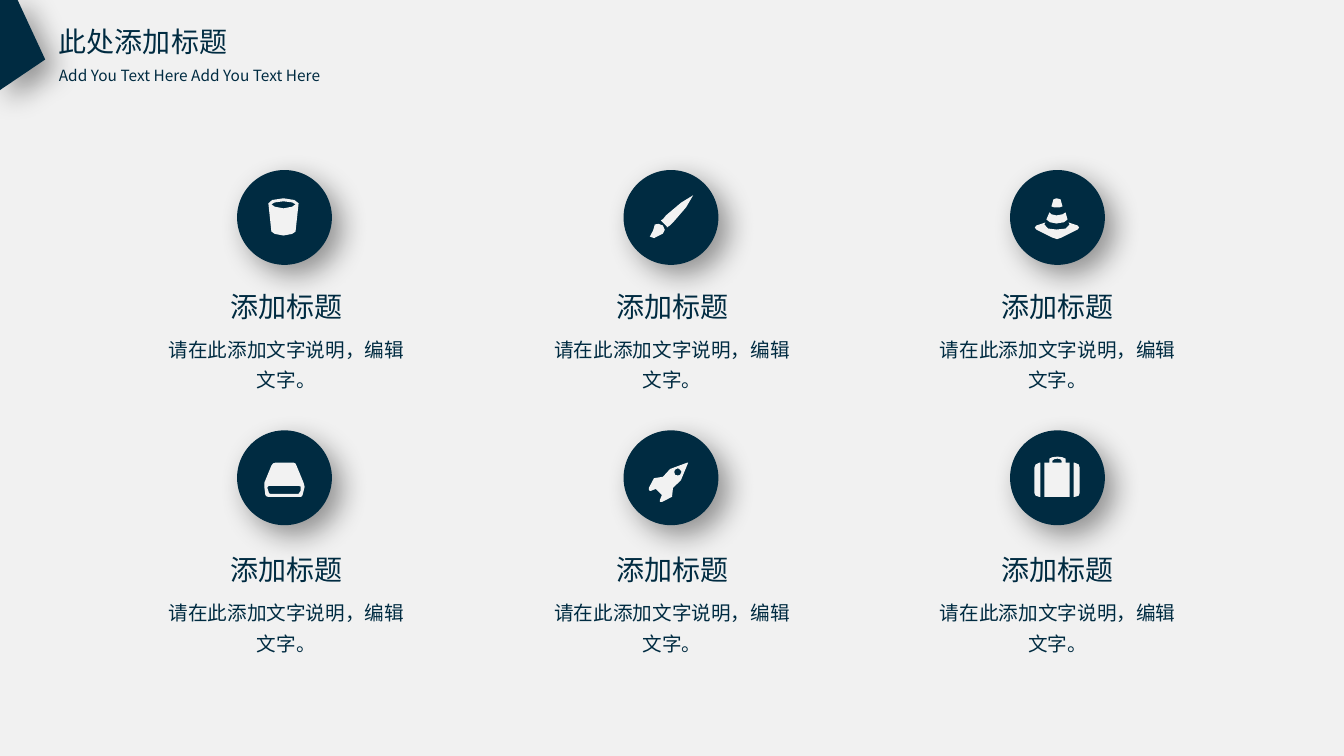
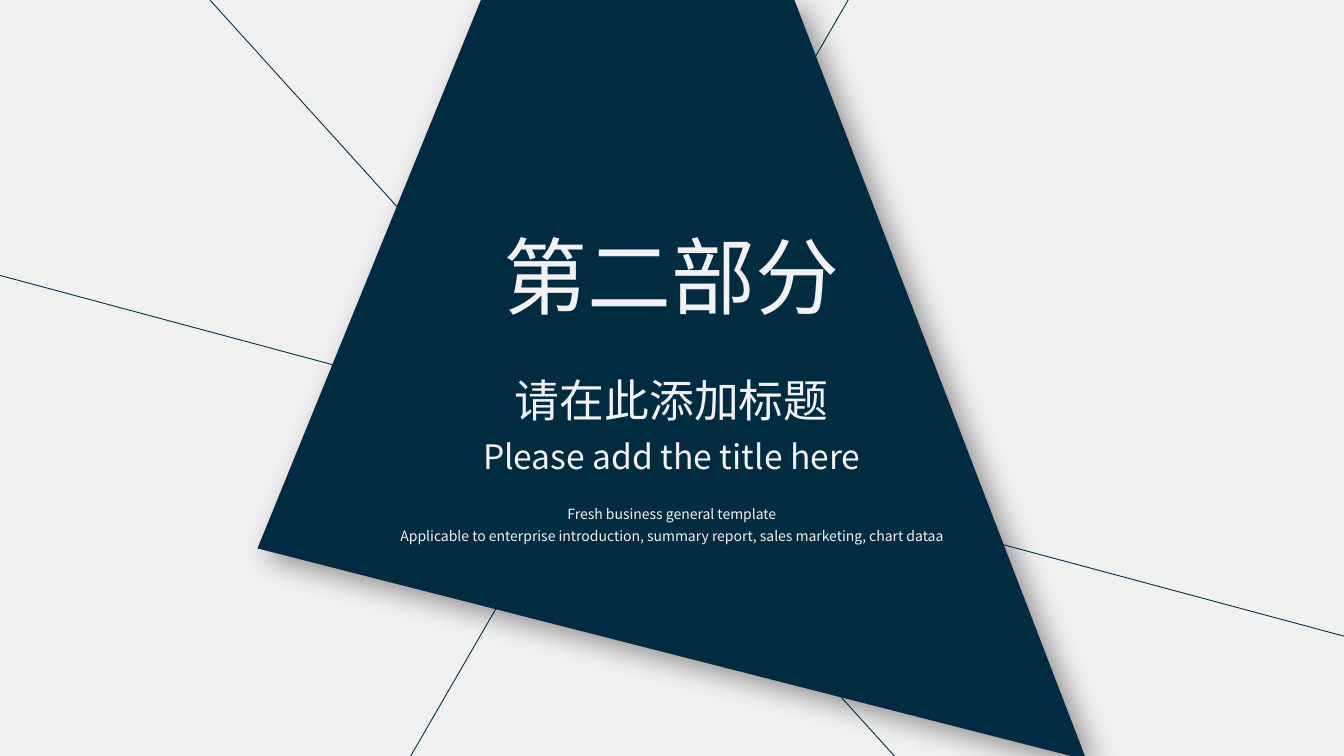
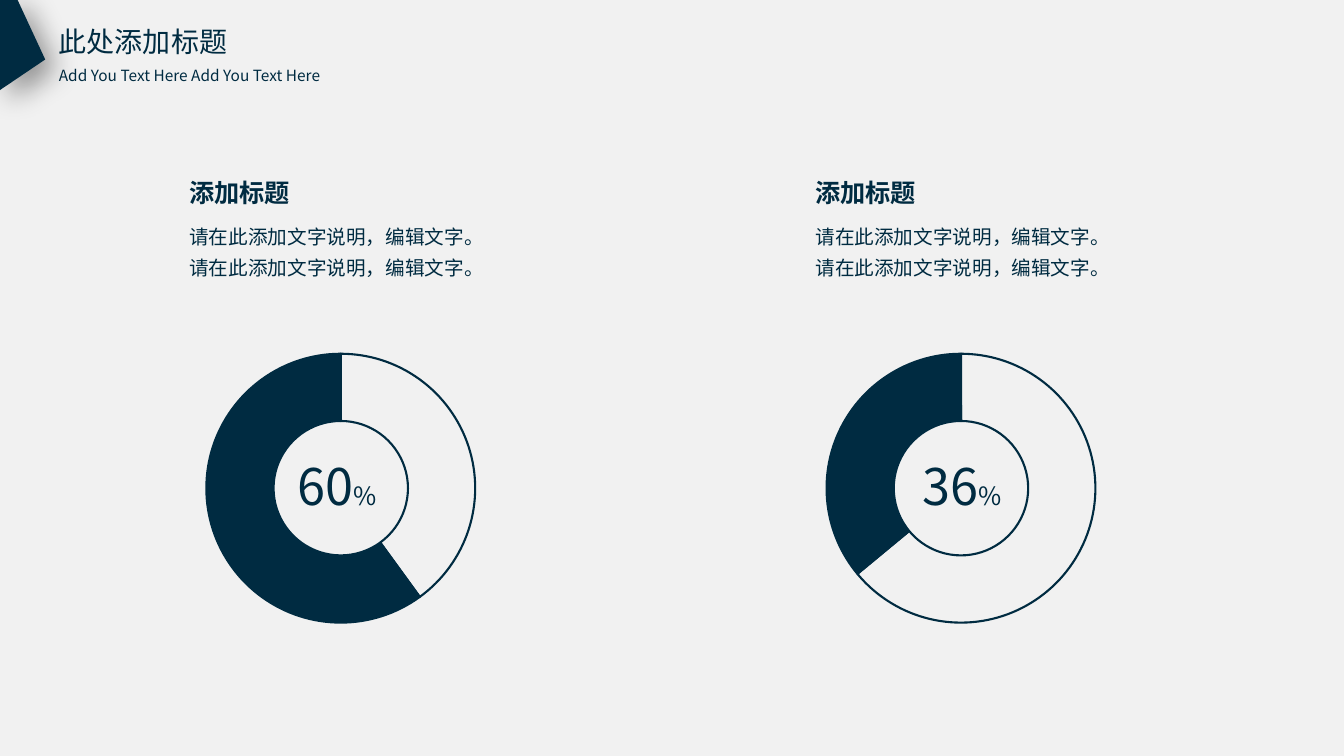
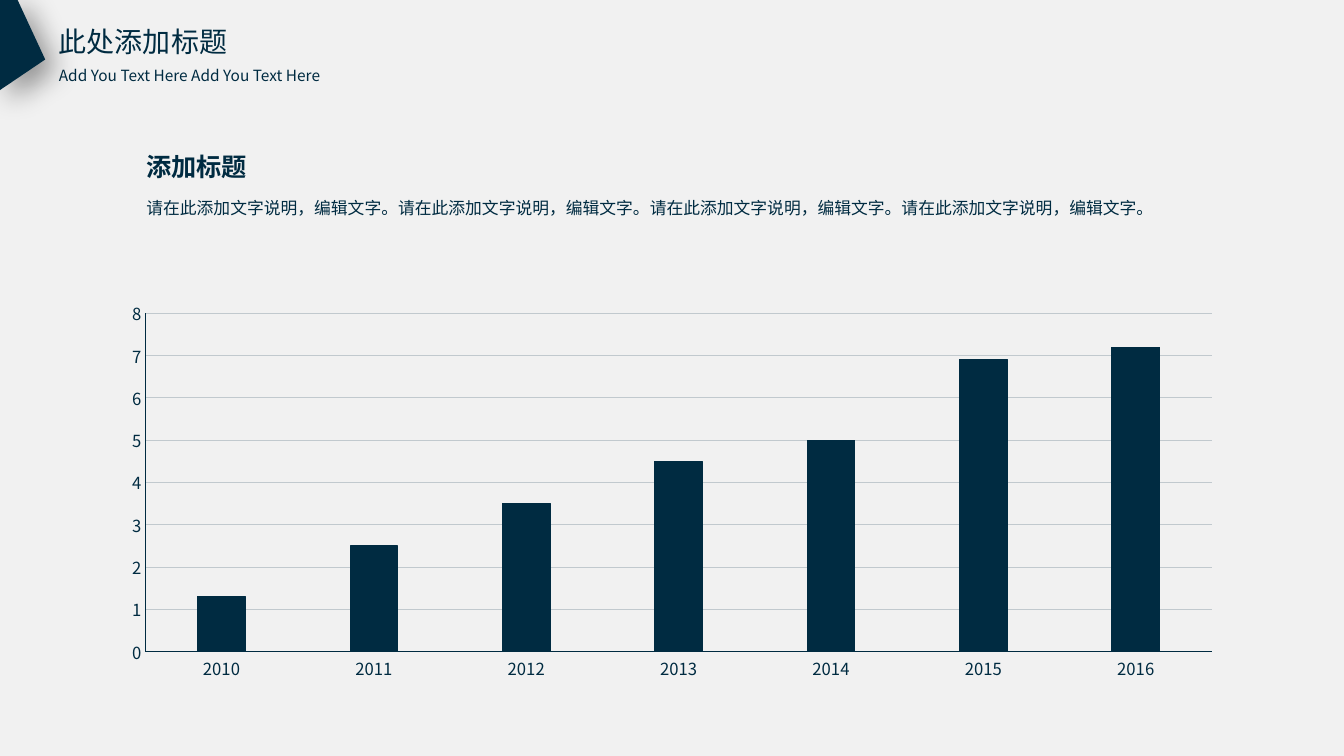
from lxml import etree
from pptx import Presentation
from pptx.chart.data import CategoryChartData
from pptx.dml.color import RGBColor
from pptx.enum.chart import XL_CHART_TYPE, XL_TICK_MARK
from pptx.enum.shapes import MSO_CONNECTOR, MSO_SHAPE
from pptx.enum.text import MSO_ANCHOR, MSO_AUTO_SIZE, PP_ALIGN
from pptx.oxml.ns import qn
from pptx.util import Cm, Pt

LEFT, CENTER = PP_ALIGN.LEFT, PP_ALIGN.CENTER
TOP, FIXED = MSO_ANCHOR.TOP, MSO_AUTO_SIZE.NONE
OVAL, STRAIGHT = MSO_SHAPE.OVAL, MSO_CONNECTOR.STRAIGHT
RING, COLUMN = XL_CHART_TYPE.DOUGHNUT, XL_CHART_TYPE.COLUMN_CLUSTERED
NO_TICK = XL_TICK_MARK.NONE

# Shared style
NAVY, PALE, PAPER, GRID = "002B41", "F2F2F2", "F1F1F1", "C1C9CE"
FONT = "Noto Sans CJK SC"
HEAD = "添加标题"
NOTE = "请在此添加文字说明，编辑文字。"
rgb = RGBColor.from_string

deck = Presentation()
deck.slide_width, deck.slide_height = Cm(33.87), Cm(19.05)
back = deck.slide_master.background.fill
back.solid()
back.fore_color.rgb = rgb(PAPER)
raised = []


def write(shape, text, box, size, color=NAVY, align=LEFT, space=1.0, bold=False):
    """Place a text shape (box in cm) and format all its runs."""
    shape.left, shape.top, shape.width, shape.height = [Cm(v) for v in box]
    frame = shape.text_frame
    frame.text = text
    frame.word_wrap = True
    frame.auto_size = FIXED
    frame.vertical_anchor = TOP
    for para in frame.paragraphs:
        para.alignment, para.line_spacing = align, space
        para.space_before = Pt(0)
        for run in para.runs:
            font = run.font
            font.size, font.name, font.bold = Pt(size), FONT, bold
            font.color.rgb = rgb(color)
            east = etree.SubElement(run._r.get_or_add_rPr(), qn("a:ea"))
            east.set("typeface", FONT)
    return frame


def draw(slide, loops, unit, x=0, y=0):
    """Draw closed loops; a step is a point or a six-number Bezier curve."""
    build = None
    for loop in loops:
        pts = [loop[0]]
        for step in loop[1:]:
            if len(step) == 6:
                # A curve becomes two chords through its midpoint
                ends = [pts[-1], step[:2], step[2:4], step[4:]]
                pts.append(tuple(sum(w * p[i] for w, p in zip((1, 3, 3, 1), ends)) / 8
                                 for i in (0, 1)))
            pts.append(step[-2:])
        pts = [(round(a * unit), round(b * unit)) for a, b in pts]
        if pts[-1] == pts[0]:
            pts.pop()
        if build is None:
            build = slide.shapes.build_freeform(*pts[0])
        else:
            build.move_to(*pts[0])
        build.add_line_segments(pts[1:], close=True)
    shape = build.convert_to_shape(x, y)
    shape.shadow.inherit = False
    shape.line.fill.background()
    shape.fill.solid()
    return shape


slides = [deck.slides.add_slide(deck.slide_layouts[0]) for _ in range(4)]
grid, part, rings, bars = slides

# Header of the content slides
for slide in (grid, rings, bars):
    write(slide.shapes.title, "此处添加标题", (1.23, 0.48, 4.78, 1.12), 20)
    write(slide.placeholders[1], "Add You Text Here Add You Text Here",
          (1.23, 1.4, 7.77, 0.81), 11, space=1.3)
    raised.append(draw(slide, [[(0.43, -0.03), (0, -0.03), (0, 2.27), (1.14, 1.5)]], Cm(1)))

# Slide 1: six icons, in hundredths of an inch from the circle's centre
bucket = [
    [(-1, -19), (-11, -19, -16, -16, -16, -14), (-13, 14), (-13, 15, -8, 18, -1, 18),
     (6, 18, 11, 15, 11, 14), (14, -14), (14, -16, 8, -19, -1, -19)],
    [(-1, -9), (-8, -9, -13, -12, -13, -13), (-13, -14, -8, -16, -1, -16),
     (6, -16, 11, -14, 11, -13), (11, -12, 6, -9, -1, -9)]]
brush = [
    [(-16, 7), (-19, 11, -16, 15, -21, 19), (-23, 22, -12, 21, -8, 16),
     (-5, 14, -6, 11, -8, 8), (-11, 6, -14, 6, -16, 7)],
    [(22, -22), (21, -23, 0, -8, -5, -2), (-8, 1, -8, 3, -10, 3), (-9, 4), (-6, 7),
     (-4, 9), (-4, 10), (-2, 9, 0, 7, 2, 5), (8, -1, 24, -20, 22, -22)]]
cone = [
    [(-1, 6), (5, 6, 9, 4, 10, 2), (8, -5), (7, -4, 4, -2, -1, -2),
     (-5, -2, -8, -4, -8, -5), (-11, 2), (-10, 4, -6, 6, -1, 6)],
    [(-1, -10), (2, -10, 4, -10, 5, -11), (3, -18), (-1, -19), (-4, -18), (-6, -11),
     (-5, -10, -3, -10, -1, -10)],
    [(20, 8), (11, 5), (12, 7), (12, 11, 6, 12, -1, 12), (-7, 12, -13, 11, -13, 7),
     (-12, 5), (-21, 8), (-23, 9, -23, 11, -21, 12), (-5, 20), (-2, 22, 1, 22, 4, 20),
     (20, 12), (22, 11, 22, 9, 20, 8)]]
drive = [
    [(19, 5), (12, -12), (12, -14, 10, -15, 9, -15), (-9, -15),
     (-11, -15, -12, -14, -13, -12), (-20, 5), (-20, 9), (-19, 17),
     (-19, 18, -17, 19, -16, 19), (16, 19), (17, 19, 18, 18, 18, 17), (20, 9)],
    [(16, 10), (16, 13), (14, 16), (-14, 16), (-15, 16, -16, 15, -16, 13),
     (-17, 10), (-17, 9, -16, 8, -15, 8), (14, 8), (16, 8, 17, 9, 16, 10)]]
rocket = [
    [(2, 10), (2, 10, 18, -2, 17, -15), (16, -15), (3, -17, -8, -1, -8, -1),
     (-18, -2, -17, 0, -22, 10), (-23, 13, -21, 13, -20, 13), (-15, 11),
     (-9, 17), (-11, 22), (-12, 23, -11, 25, -9, 24), (1, 19, 4, 20, 2, 10)],
    [(4, -3), (3, -5, 3, -7, 4, -8), (6, -10, 8, -10, 9, -8), (11, -7, 11, -5, 9, -3),
     (8, -2, 6, -2, 4, -3)]]
case = [
    [(17, -15), (16, -15), (16, 19), (17, 19), (21, 19, 22, 17, 22, 15), (22, -10),
     (22, -12, 21, -15, 17, -15)],
    [(-23, -10), (-23, 15), (-23, 17, -21, 19, -18, 19), (-17, 19), (-17, -15), (-18, -15),
     (-21, -15, -23, -12, -23, -10)],
    [(8, -19), (6, -20, 4, -21, 0, -21), (-4, -21, -7, -20, -8, -19), (-8, -15), (-13, -15),
     (-13, 19), (12, 19), (12, -15), (8, -15)],
    [(4, -15), (-5, -15), (-5, -17), (-4, -18, -3, -19, 0, -19), (2, -19, 4, -18, 4, -17)]]

SIDE = 2.39
for n, icon in enumerate((bucket, brush, cone, drive, rocket, case)):
    row, col = divmod(n, 3)
    x, y = 7.17 + 9.74 * col, 5.48 + 6.56 * row
    disc = grid.shapes.add_shape(OVAL, Cm(x - SIDE / 2), Cm(y - SIDE / 2), Cm(SIDE), Cm(SIDE))
    raised.append(disc)
    mark = draw(grid, icon, Cm(2.54) / 100, Cm(x), Cm(y))
    mark.fill.fore_color.rgb = rgb(PALE)
    mid, top = 7.22 + 9.72 * col, 7.17 + 6.63 * row
    for text, wide, drop, high, size, space in ((HEAD, 4.83, 0, 1.12, 20, 1.0),
                                                (NOTE, 6.73, 1.04, 1.73, 14, 1.3)):
        label = grid.shapes.add_textbox(0, 0, 0, 0)
        write(label, text, (mid - wide / 2, top + drop, wide, high), size,
              align=CENTER, space=space)

# Slide 2: section page
for ends in ((21.67, -0.51, 10.35, 19.05), (22.63, 19.15, 5.29, 0), (0, 6.94, 33.87, 16.03)):
    ray = part.shapes.add_connector(STRAIGHT, *[Cm(v) for v in ends])
    ray.line.color.rgb = rgb(NAVY)
    ray.line.width = Pt(0.63)
    etree.SubElement(ray._element.spPr, qn("a:effectLst"))
raised.append(draw(part, [[(12.12, 0), (20.02, 0), (27.38, 19.15), (6.49, 13.82)]], Cm(1)))

tree = part.shapes.title._element.getparent()
MIDDLE = 16.93
for shape, text, wide, top, high, size, space in (
        (part.shapes.title, "第二部分", 9.2, 5.54, 2.82, 60, 1.0),
        (part.shapes.add_textbox(0, 0, 0, 0),
         "Fresh business general template\nApplicable to enterprise introduction, "
         "summary report, sales marketing, chart dataa", 20.88, 12.48, 1.37, 10, 1.3),
        (part.shapes.add_textbox(0, 0, 0, 0), "Please add the title here",
         10.6, 10.87, 1.27, 24, 1.0),
        (part.placeholders[1], "请在此添加标题", 9.86, 9.27, 1.63, 32, 1.0)):
    write(shape, text, (MIDDLE - wide / 2, top, wide, high), size, PALE, CENTER, space)
    tree.append(shape._element)

# Slide 3: two rings
for share, left, tag, edge in ((60, 2.6, 7.24, 4.52), (36, 18.23, 22.99, 20.3)):
    data = CategoryChartData()
    data.categories = ["1", "2"]
    data.add_series("Series 1", (100 - share, share))
    chart = rings.shapes.add_chart(RING, Cm(left), Cm(8.84), Cm(11.3), Cm(7.53), data).chart
    chart.has_legend = chart.has_title = False
    chart.font.size, chart.font.name = Pt(10), "Calibri"
    plot = chart.plots[0]
    plot.vary_by_categories = False
    for k in (0, 1):
        look = plot.series[0].points[k].format
        look.line.color.rgb = rgb(NAVY)
        look.line.width = Pt(1.5)
        if k:
            look.fill.solid()
            look.fill.fore_color.rgb = rgb(NAVY)
        else:
            look.fill.background()
    # Fixed inner plot area
    area = chart.element.find(".//" + qn("c:plotArea"))
    for old in area.findall(qn("c:layout")):
        area.remove(old)
    layout = etree.Element(qn("c:layout"))
    manual = etree.SubElement(layout, qn("c:manualLayout"))
    for tail, val in (("layoutTarget", "inner"), ("xMode", "edge"), ("yMode", "edge"),
                      ("x", "0.23"), ("y", "0.01"), ("w", "0.6"), ("h", "0.9")):
        etree.SubElement(manual, qn("c:" + tail)).set("val", val)
    area.insert(0, layout)

    frame = write(rings.shapes.add_textbox(0, 0, 0, 0), str(share), (tag, 11.35, 2.6, 1.8), 36)
    sign = frame.paragraphs[0].add_run()
    sign.text = "%"
    sign.font.size, sign.font.name = Pt(18), FONT
    sign.font.color.rgb = rgb(NAVY)
    write(rings.shapes.add_textbox(0, 0, 0, 0), HEAD, (edge, 4.34, 3.05, 1.02), 18, bold=True)
    write(rings.shapes.add_textbox(0, 0, 0, 0), NOTE * 2, (edge, 5.37, 8.15, 1.73), 14, space=1.3)

# Slide 4: column chart
data = CategoryChartData()
data.categories = [str(year) for year in range(2010, 2017)]
data.add_series("Series 1", (1.3, 2.5, 3.5, 4.5, 5, 6.9, 7.2))
chart = bars.shapes.add_chart(COLUMN, Cm(2.76), Cm(7.38), Cm(28.35), Cm(9.98), data).chart
chart.has_legend = chart.has_title = False
chart.font.size, chart.font.name = Pt(11.9), FONT
chart.font.color.rgb = rgb(NAVY)
plot = chart.plots[0]
plot.vary_by_categories = False
plot.gap_width, plot.overlap = 220, -22
look = plot.series[0].format
look.fill.solid()
look.fill.fore_color.rgb = rgb(NAVY)
scale = chart.value_axis
scale.minimum_scale, scale.maximum_scale, scale.major_unit = 0, 8, 1
scale.has_major_gridlines = True
for axis in (chart.category_axis, scale):
    axis.major_tick_mark = axis.minor_tick_mark = NO_TICK
for line, color in ((look.line, NAVY), (scale.format.line, NAVY),
                    (chart.category_axis.format.line, NAVY),
                    (scale.major_gridlines.format.line, GRID)):
    line.color.rgb = rgb(color)
    line.width = Pt(0.75)
write(bars.shapes.add_textbox(0, 0, 0, 0), HEAD, (3.44, 3.68, 4.83, 1.02), 18, bold=True)
write(bars.shapes.add_textbox(0, 0, 0, 0), NOTE * 4, (3.44, 4.7, 27, 0.86), 12, space=1.3)

# Navy fill and soft shadow of all raised shapes
for shape in raised:
    shape.fill.solid()
    shape.fill.fore_color.rgb = rgb(NAVY)
    shape.line.fill.background()
    shape.shadow.inherit = False
    effects = shape._element.spPr.find(qn("a:effectLst"))
    shade = etree.SubElement(effects, qn("a:outerShdw"), blurRad=str(Pt(20)),
                             dist=str(Pt(10)), dir="2700000", algn="tl", rotWithShape="0")
    tint = etree.SubElement(shade, qn("a:srgbClr"), val="000000")
    etree.SubElement(tint, qn("a:alpha"), val="40000")

deck.save("out.pptx")
